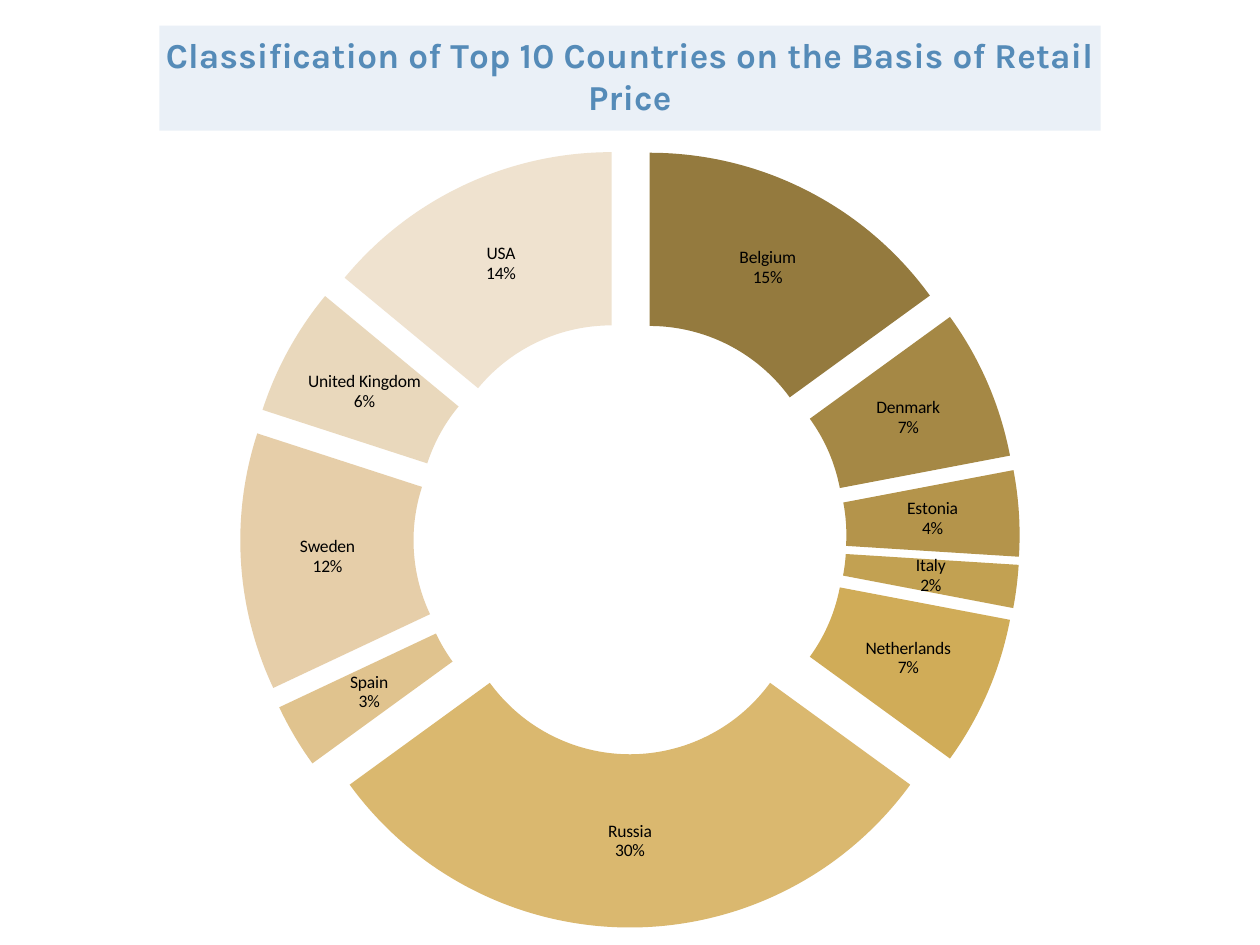
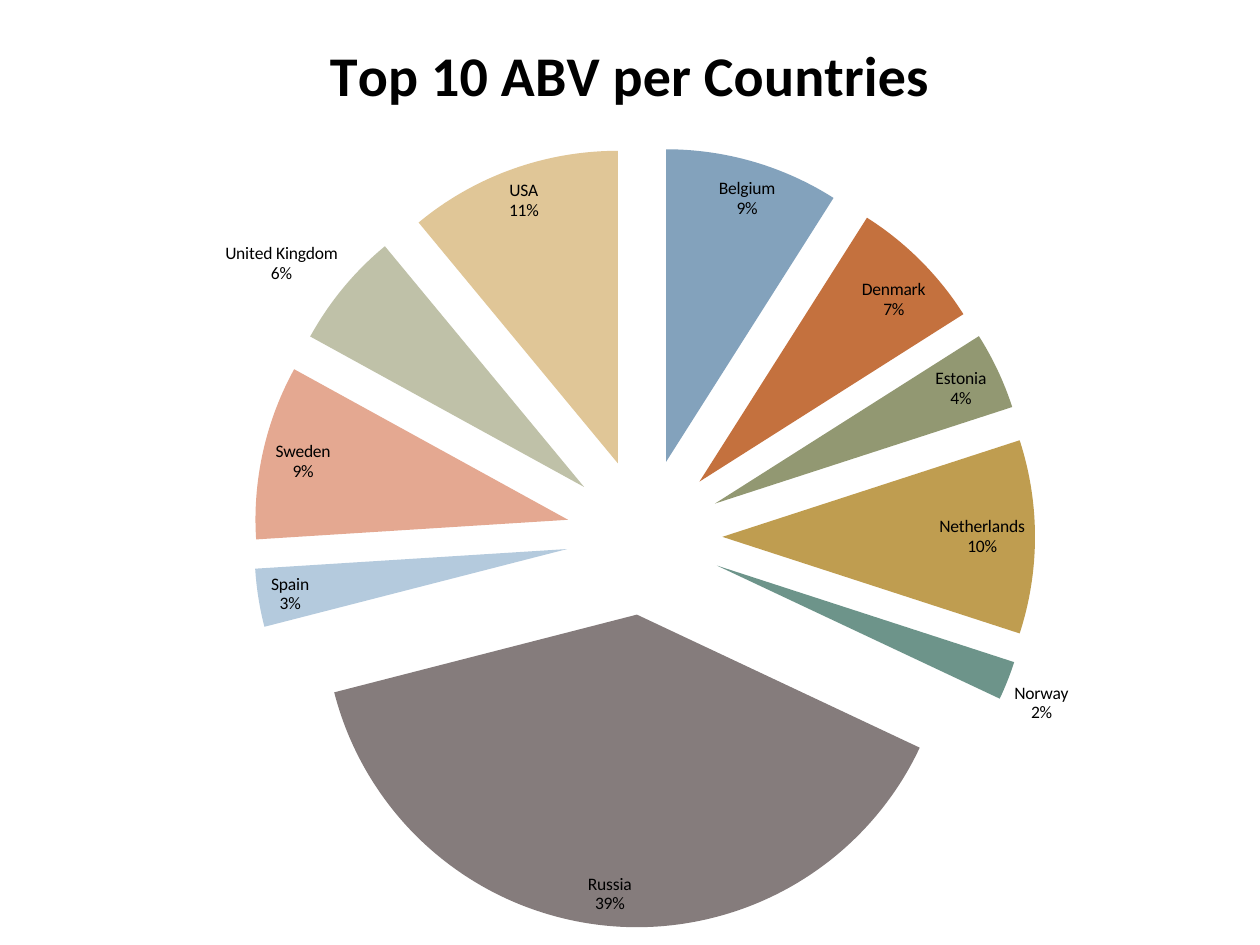
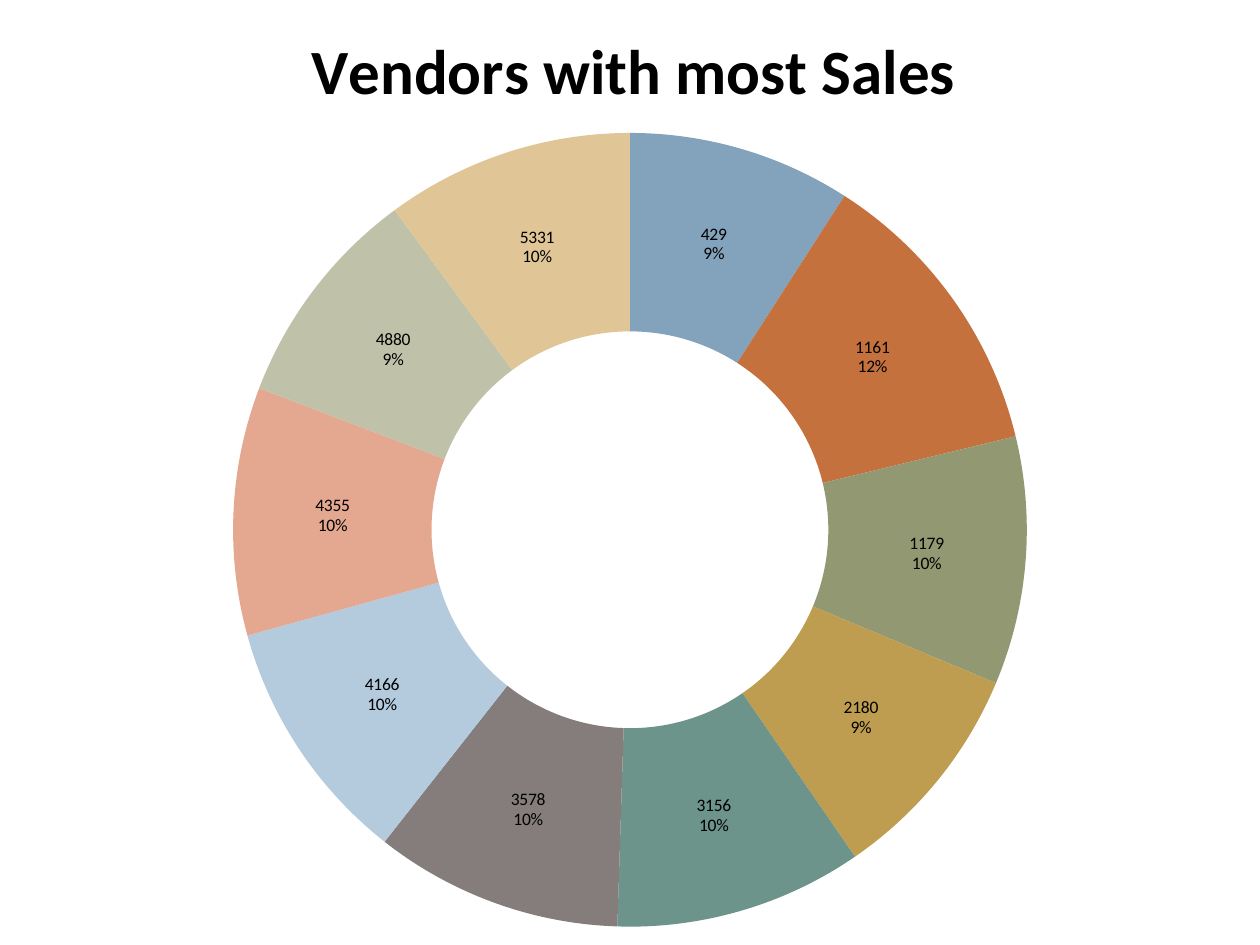
"""Build three slides of country and vendor share charts."""
from dataclasses import dataclass

from lxml import etree
from pptx import Presentation
from pptx.chart.data import CategoryChartData
from pptx.dml.color import RGBColor
from pptx.enum.chart import XL_CHART_TYPE, XL_LABEL_POSITION
from pptx.oxml.ns import qn
from pptx.util import Pt

DOUGHNUT = XL_CHART_TYPE.DOUGHNUT
PIE = XL_CHART_TYPE.PIE
BEST_FIT = XL_LABEL_POSITION.BEST_FIT


@dataclass(frozen=True)
class Theme:
    ink: str = "000000"
    accent: str = "558BB8"
    band: str = "EAF0F7"
    body_font: str = "Calibri"
    accent_font: str = "Karla"
    label_size: int = 10
    golds: tuple = ("947A3E", "A58845", "B4944B", "C2A152", "D0AC58",
                    "DAB86F", "E0C38E", "E6CEA9", "E9D8BC", "EFE2CF")
    mixed: tuple = ("83A2BC", "C4713E", "929872", "BF9D50", "6D948A",
                    "857C7C", "B4CADD", "E4A891", "BFC1A8", "E0C697")


THEME = Theme()
WIDTH, HEIGHT = Pt(720), Pt(540)

SLIDES = [
    {
        "title": "Classification of Top 10 Countries on the Basis of Retail Price",
        "title_format": {"size": 20, "color": THEME.accent, "font": THEME.accent_font,
                         "band": THEME.band},
        "kind": DOUGHNUT, "colors": THEME.golds, "explosion": 25,
        "shares": {"Belgium": 15, "Denmark": 7, "Estonia": 4, "Italy": 2,
                   "Netherlands": 7, "Russia": 30, "Spain": 3, "Sweden": 12,
                   "United Kingdom": 6, "USA": 14},
    },
    {
        "title": "Top 10 ABV per Countries",
        "title_format": {"size": 32},
        "kind": PIE, "colors": THEME.mixed, "explosion": 25,
        "shares": {"Belgium": 9, "Denmark": 7, "Estonia": 4, "Netherlands": 10,
                   "Norway": 2, "Russia": 39, "Spain": 3, "Sweden": 9,
                   "United Kingdom": 6, "USA": 11},
    },
    {
        "title": "Vendors with most Sales",
        "title_format": {"size": 36, "left_top": (Pt(171.5), Pt(8.5))},
        "kind": DOUGHNUT, "colors": THEME.mixed, "explosion": 0,
        "ring": (Pt(133.2), Pt(76), Pt(453.6), Pt(453.6)),
        "shares": {"429": 9, "1161": 12, "1179": 10, "2180": 9, "3156": 10,
                   "3578": 10, "4166": 10, "4355": 10, "4880": 9, "5331": 10},
    },
]


def set_font(font, size, color=THEME.ink, name=THEME.body_font, bold=False):
    font.size, font.name, font.bold = Pt(size), name, bold
    font.color.rgb = RGBColor.from_string(color)


def add_after(anchor, tag):
    element = etree.Element(qn(tag))
    anchor.addnext(element)
    return element


def place(part, anchor, left, top, width=None, height=None):
    for old in part.findall(qn("c:layout")):
        part.remove(old)
    manual = etree.SubElement(add_after(anchor, "c:layout"), qn("c:manualLayout"))
    settings = {"xMode": "edge", "yMode": "edge", "x": left / WIDTH, "y": top / HEIGHT}
    if width:
        settings = {"layoutTarget": "inner", **settings,
                    "w": width / WIDTH, "h": height / HEIGHT}
    for key, value in settings.items():
        etree.SubElement(manual, qn(f"c:{key}")).set("val", str(value))


def write_title(chart, text, size, color=THEME.ink, font=THEME.body_font,
                band=None, left_top=None):
    chart.has_title = True
    title = chart.chart_title
    title.include_in_layout = False
    run = title.text_frame.paragraphs[0].add_run()
    run.text = text
    set_font(run.font, size, color, font, bold=True)
    if band:
        title.format.fill.solid()
        title.format.fill.fore_color.rgb = RGBColor.from_string(band)
    if left_top:
        place(title._element, title._element.find(qn("c:tx")), *left_top)


def place_ring(chart, box):
    area = chart._chartSpace.chart.plotArea
    marker = etree.Element(qn("c:layout"))
    area.insert(0, marker)
    place_anchor = etree.Element(qn("c:anchor"))
    area.insert(0, place_anchor)
    place(area, place_anchor, *box)
    area.remove(place_anchor)


def color_slices(series, colors, explosion):
    for index, color in enumerate(colors):
        look = series.points[index].format
        look.fill.solid()
        look.fill.fore_color.rgb = RGBColor.from_string(color)
        look.line.fill.background()
    if explosion:
        add_after(series._element.find(qn("c:tx")), "c:explosion").set("val", str(explosion))


def label_slices(series, kind):
    labels = series.data_labels
    labels.show_value = False
    labels.show_category_name = True
    labels.show_percentage = True
    set_font(labels.font, THEME.label_size)
    if kind == PIE:
        labels.position = BEST_FIT
    add_after(labels._element.find(qn("c:showBubbleSize")), "c:separator").text = "\n"


def add_share_slide(deck, content):
    slide = deck.slides.add_slide(deck.slide_layouts[6])
    data = CategoryChartData()
    data.categories = list(content["shares"])
    data.add_series("Series 1", list(content["shares"].values()))
    chart = slide.shapes.add_chart(content["kind"], 0, 0, WIDTH, HEIGHT, data).chart
    chart.has_legend = False
    set_font(chart.font, THEME.label_size)
    write_title(chart, content["title"], **content["title_format"])
    if "ring" in content:
        place_ring(chart, content["ring"])
    plot = chart.plots[0]
    plot.vary_by_categories = True
    series = plot.series[0]
    color_slices(series, content["colors"], content["explosion"])
    label_slices(series, content["kind"])


deck = Presentation()
deck.slide_width, deck.slide_height = WIDTH, HEIGHT
for content in SLIDES:
    add_share_slide(deck, content)
deck.save("out.pptx")
